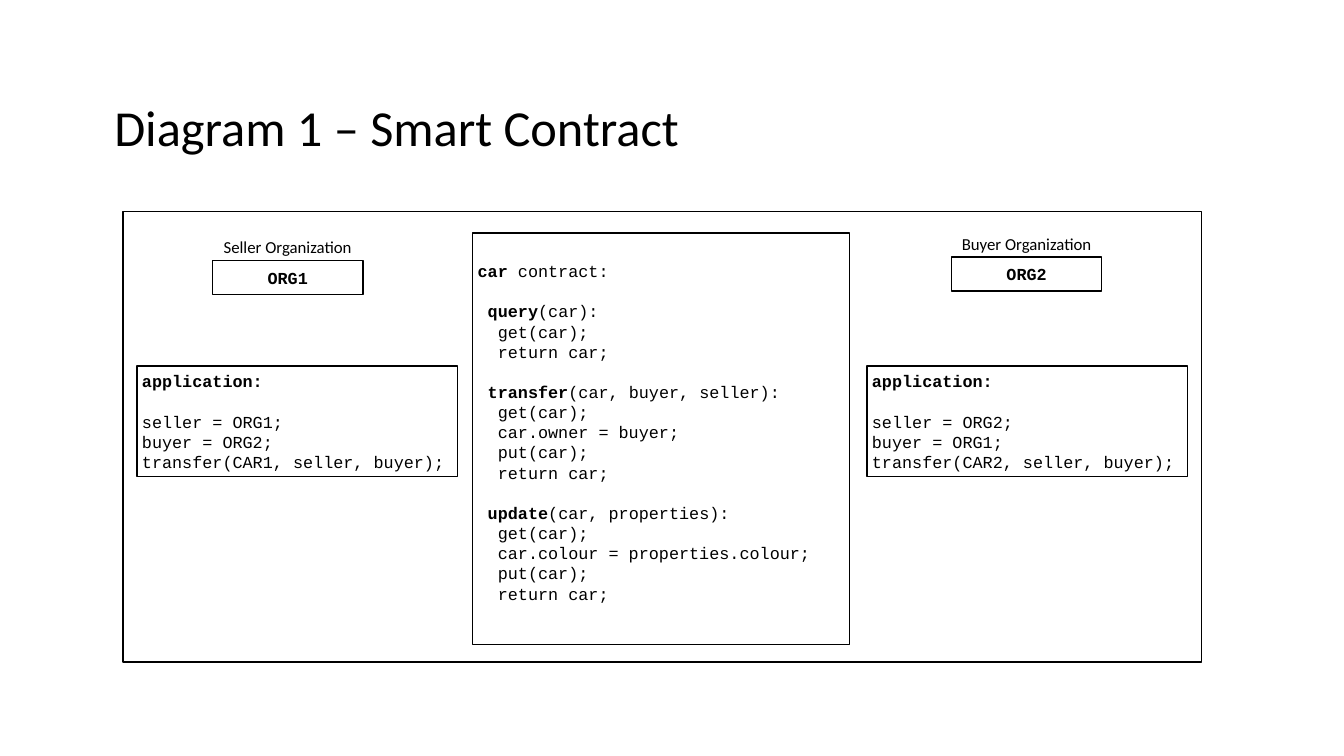
import pptx
import pptx.dml.color
import pptx.enum.shapes
import pptx.enum.text
import pptx.util

Pt = pptx.util.Pt
ALIGN = pptx.enum.text.PP_ALIGN
ANCHOR = pptx.enum.text.MSO_ANCHOR
INK = "000000"
PAPER = "FFFFFF"
SANS = "Calibri"
MONO = "Courier New"
INSET = 3.6
CODE_PITCH = 14.4

CONTRACT = [
    [("", "car", " contract:")],
    [(" ", "query", "(car):"), "  get(car);", "  return car;"],
    [(" ", "transfer", "(car, buyer, seller):"), "  get(car);",
     "  car.owner = buyer;", "  put(car);", "  return car;"],
    [(" ", "update", "(car, properties):"), "  get(car);",
     "  car.colour = properties.colour;", "  put(car);", "  return car;"],
]


def rgb(value):
    return pptx.dml.color.RGBColor.from_string(value)


def set_frame(frame, top=INSET, bottom=INSET, anchor=ANCHOR.MIDDLE, wrap=True):
    frame.margin_left = frame.margin_right = Pt(INSET)
    frame.margin_top, frame.margin_bottom = Pt(top), Pt(bottom)
    frame.vertical_anchor = anchor
    frame.word_wrap = wrap


def add_run(paragraph, text, size=12, face=MONO, bold=False):
    run = paragraph.add_run()
    run.text = text
    run.font.size, run.font.name, run.font.bold = Pt(size), face, bold
    run.font.color.rgb = rgb(INK)


def add_box(slide, left, top, width, height, fill=PAPER):
    box = slide.shapes.add_shape(pptx.enum.shapes.MSO_SHAPE.RECTANGLE,
                                 Pt(left), Pt(top), Pt(width), Pt(height))
    box.shadow.inherit = False
    if fill:
        box.fill.solid()
        box.fill.fore_color.rgb = rgb(fill)
    else:
        box.fill.background()
    box.line.color.rgb = rgb(INK)
    box.line.width = Pt(1)
    return box


def add_title(slide, text, left, top, width, height):
    title = slide.shapes.title
    title.left, title.top = Pt(left), Pt(top)
    title.width, title.height = Pt(width), Pt(height)
    set_frame(title.text_frame)
    heading = title.text_frame.paragraphs[0]
    heading.alignment = ALIGN.LEFT
    heading.line_spacing = 0.9
    add_run(heading, text, 36, SANS)


def add_code(slide, blocks, left, top, width, height, inset_top=INSET, inset_bottom=INSET):
    """Blocks are lists of lines, one line apart; a tuple is (indent, bold name, rest)."""
    frame = add_box(slide, left, top, width, height).text_frame
    set_frame(frame, inset_top, inset_bottom)
    for block_index, block in enumerate(blocks):
        for line_index, line in enumerate(block):
            first = block_index == line_index == 0
            paragraph = frame.paragraphs[0] if first else frame.add_paragraph()
            paragraph.alignment = ALIGN.LEFT
            paragraph.line_spacing = Pt(CODE_PITCH)
            if line_index == 0 and not first:
                paragraph.space_before = Pt(CODE_PITCH)
            if isinstance(line, str):
                add_run(paragraph, line)
                continue
            for part_index, part in enumerate(line):
                if part:
                    add_run(paragraph, part, bold=part_index == 1)


def add_organization(slide, role, code, left, top, width, height):
    badge = add_box(slide, left, top, width, height).text_frame
    set_frame(badge)
    badge.paragraphs[0].alignment = ALIGN.CENTER
    add_run(badge.paragraphs[0], code, bold=True)
    caption = slide.shapes.add_textbox(Pt(left + INSET), Pt(top - 20),
                                       Pt(width - 2 * INSET), Pt(21.6)).text_frame
    set_frame(caption, anchor=ANCHOR.TOP, wrap=False)
    caption.auto_size = pptx.enum.text.MSO_AUTO_SIZE.SHAPE_TO_FIT_TEXT
    caption.paragraphs[0].alignment = ALIGN.CENTER
    add_run(caption.paragraphs[0], f"{role} Organization", face=SANS)


def add_application(slide, car, seller, buyer, left, top, width, height):
    add_code(slide, [
        [("", "application:", "")],
        [f"seller = {seller};", f"buyer = {buyer};", f"transfer({car}, seller, buyer);"],
    ], left, top, width, height)


def add_diagram(slide, left, top, width, height):
    add_box(slide, left, top, width, height, fill=None)
    add_organization(slide, "Seller", "ORG1", left + 64, top + 34.7, 107.4, 24.4)
    add_organization(slide, "Buyer", "ORG2", left + 591.8, top + 32.4, 107.4, 24.4)
    app_width, margin = 229, 10
    add_application(slide, "CAR1", "ORG1", "ORG2",
                    left + margin, top + 110.2, app_width, 79.2)
    add_code(slide, CONTRACT, left + 249.8, top + 15.4, 269.4, 293.6,
             inset_top=8.6, inset_bottom=INSET + CODE_PITCH)
    add_application(slide, "CAR2", "ORG2", "ORG1",
                    left + width - margin - app_width, top + 110.2, app_width, 79.2)


def main():
    deck = pptx.Presentation()
    deck.slide_width, deck.slide_height = Pt(960), Pt(540)
    slide = deck.slides.add_slide(deck.slide_layouts[5])
    slide.background.fill.solid()
    slide.background.fill.fore_color.rgb = rgb(PAPER)
    add_title(slide, "Diagram 1 – Smart Contract", 78, 41, 828, 104.4)
    add_diagram(slide, 87.8, 151.2, 770.4, 321.8)
    deck.save("out.pptx")


if __name__ == "__main__":
    main()
